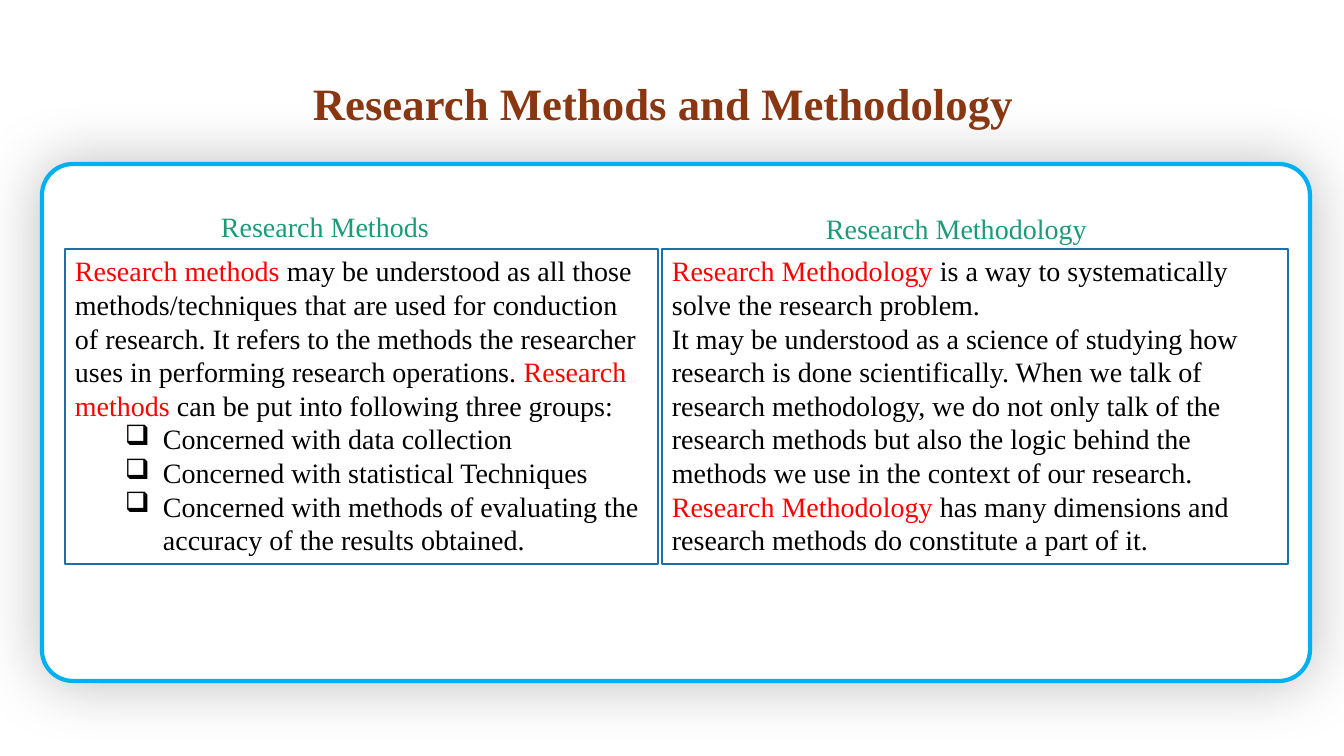
from lxml import etree
from pptx import Presentation
from pptx import util as u
from pptx.dml.color import RGBColor
from pptx.enum import shapes, text
from pptx.oxml import ns

SCALE = 914400 / 100.8  # EMU per px
RED, BLACK, GREEN, BROWN = "FF0000", "000000", "1D9A78", "893713"


def px(n):
    return u.Emu(round(n * SCALE))


def color(value):
    return RGBColor.from_string(value)


deck = Presentation()
deck.slide_width, deck.slide_height = px(1344), px(756)
slide = deck.slides.add_slide(deck.slide_layouts[6])

# Rounded frame with a soft glow-like shadow
frame = slide.shapes.add_shape(
    shapes.MSO_SHAPE.ROUNDED_RECTANGLE, px(42), px(164), px(1268), px(517))
frame.adjustments[0] = 0.06
frame.fill.solid()
frame.fill.fore_color.rgb = color("FFFFFF")
frame.line.color.rgb = color("00B0F0")
frame.line.width = u.Pt(3)
frame.shadow.inherit = False
effects = frame.element.spPr.find(ns.qn("a:effectLst"))
glow = etree.SubElement(effects, ns.qn("a:outerShdw"), blurRad=str(u.Pt(45)), dist="0", dir="0")
tint = etree.SubElement(glow, ns.qn("a:srgbClr"), val="000000")
etree.SubElement(tint, ns.qn("a:alpha"), val="25000")

# Definition boxes: left, width, paragraphs as (level, runs)
definitions = [
    (65, 593, [
        (0, [("Research methods ", RED),
             ("may be understood as all those methods/techniques that are used for "
              "conduction of research. It refers to the methods the researcher uses "
              "in performing research operations. ", BLACK),
             ("Research methods ", RED),
             ("can be put into following three groups:", BLACK)]),
        (1, [("Concerned with data collection", BLACK)]),
        (1, [("Concerned with statistical Techniques", BLACK)]),
        (1, [("Concerned with methods of evaluating the accuracy of the results "
              "obtained.", BLACK)]),
    ]),
    (662, 626, [
        (0, [("Research Methodology ", RED),
             ("is a way to systematically solve the research problem.", BLACK)]),
        (0, [("It may be understood as a science of studying how research is done "
              "scientifically. When we talk of research methodology, we do not only "
              "talk of the research methods but also the logic behind the methods we "
              "use in the context of our research. ", BLACK),
             ("Research Methodology ", RED),
             ("has many dimensions and research methods do constitute a part of it.",
              BLACK)]),
    ]),
]
for left, width, paragraphs in definitions:
    box = slide.shapes.add_shape(
        shapes.MSO_SHAPE.RECTANGLE, px(left), px(249), px(width), px(315))
    box.shadow.inherit = False
    box.fill.solid()
    box.fill.fore_color.rgb = color("FFFFFF")
    box.line.color.rgb = color("1D6FA9")
    box.line.width = u.Pt(1)
    frame_text = box.text_frame
    frame_text.word_wrap = True
    frame_text.vertical_anchor = text.MSO_ANCHOR.TOP
    for i, (level, runs) in enumerate(paragraphs):
        paragraph = frame_text.paragraphs[0] if i == 0 else frame_text.add_paragraph()
        paragraph.alignment = text.PP_ALIGN.LEFT
        paragraph.level = level
        if level:
            props = paragraph._p.get_or_add_pPr()
            props.set("marL", str(px(88)))
            props.set("indent", str(px(-38)))
            etree.SubElement(props, ns.qn("a:buChar"), char="❑")
        for words, ink in runs:
            run = paragraph.add_run()
            run.text = words
            run.font.name = "Times New Roman"
            run.font.size = u.Pt(20)
            run.font.color.rgb = color(ink)

# Column headings and title
headings = [
    ("Research Methods", 211, 205, 400, 44, 20, GREEN, False),
    ("Research Methodology", 816, 207, 400, 44, 20, GREEN, False),
    ("Research Methods and Methodology", 303, 71, 744, 65, 32, BROWN, True),
]
for words, left, top, width, height, size, ink, bold in headings:
    heading = slide.shapes.add_textbox(px(left), px(top), px(width), px(height))
    heading.text_frame.word_wrap = True
    heading.text_frame.text = words
    font = heading.text_frame.paragraphs[0].runs[0].font
    font.name = "Times New Roman"
    font.size = u.Pt(size)
    font.bold = bold
    font.color.rgb = color(ink)

deck.save("out.pptx")
